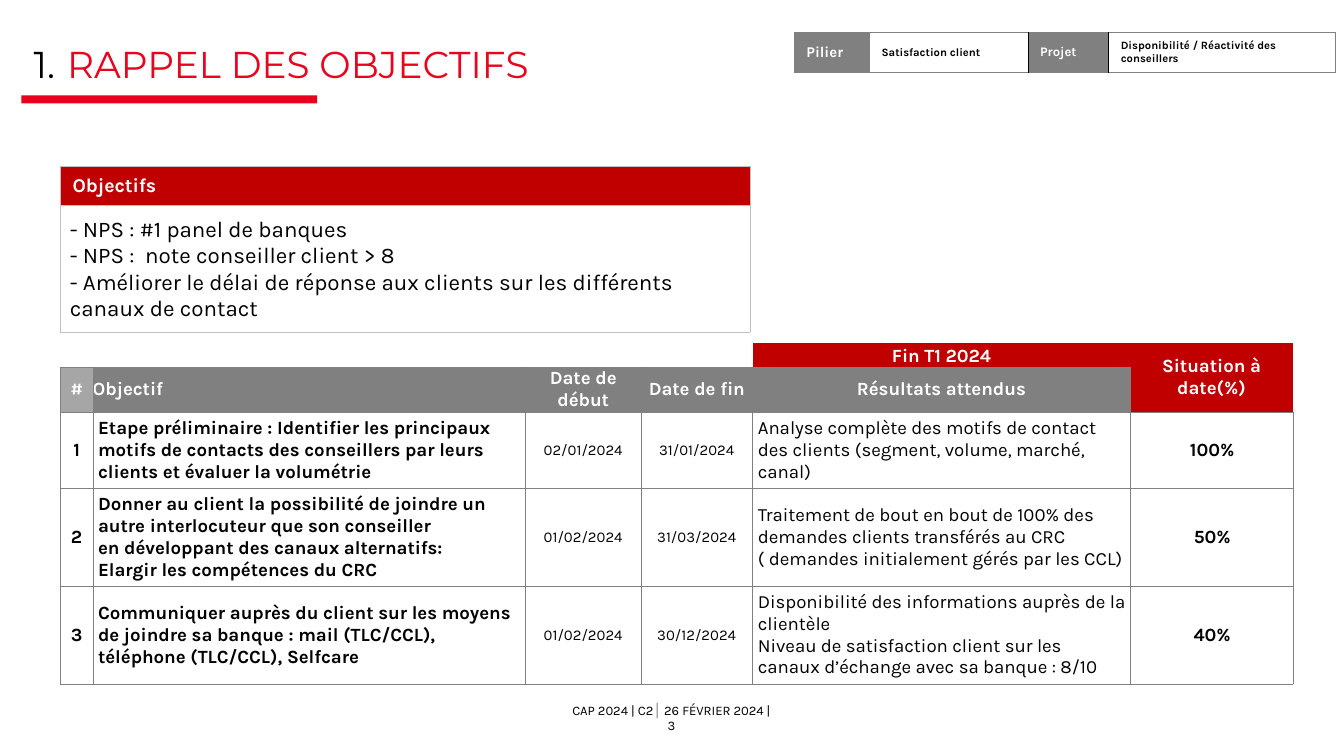
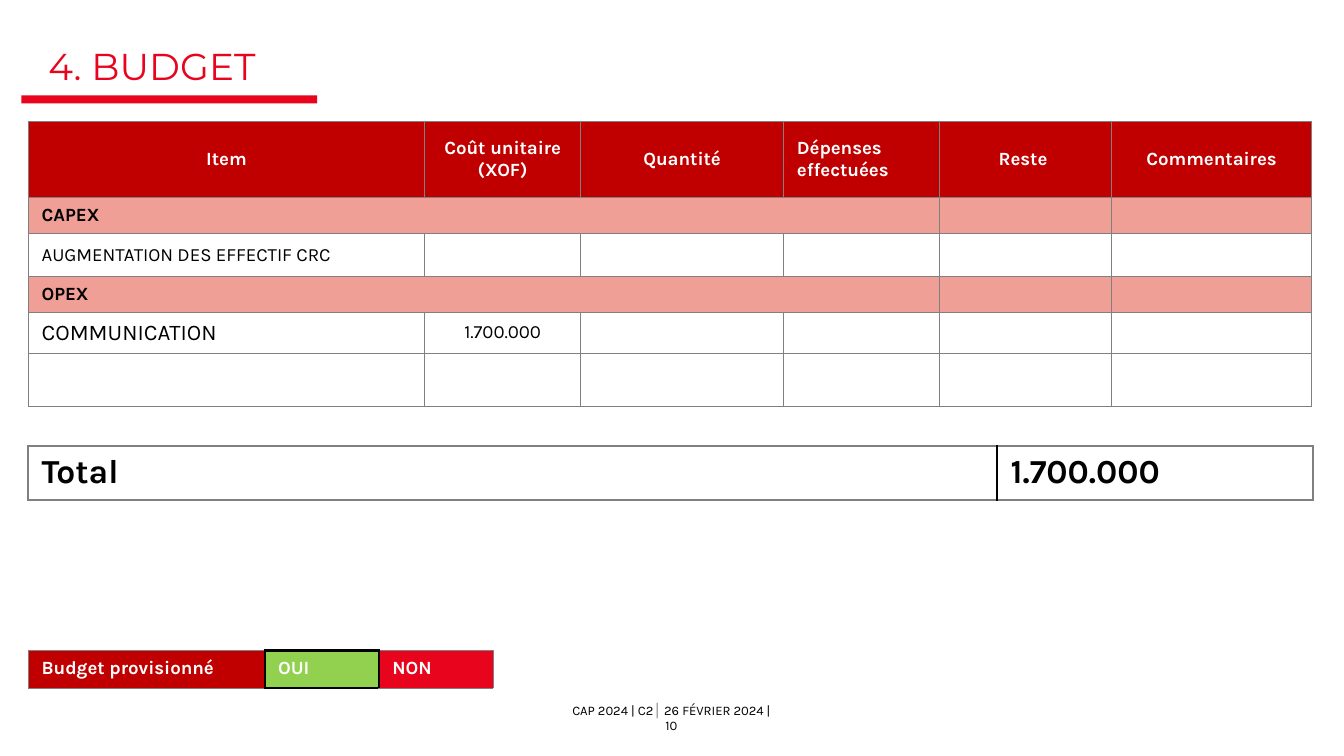
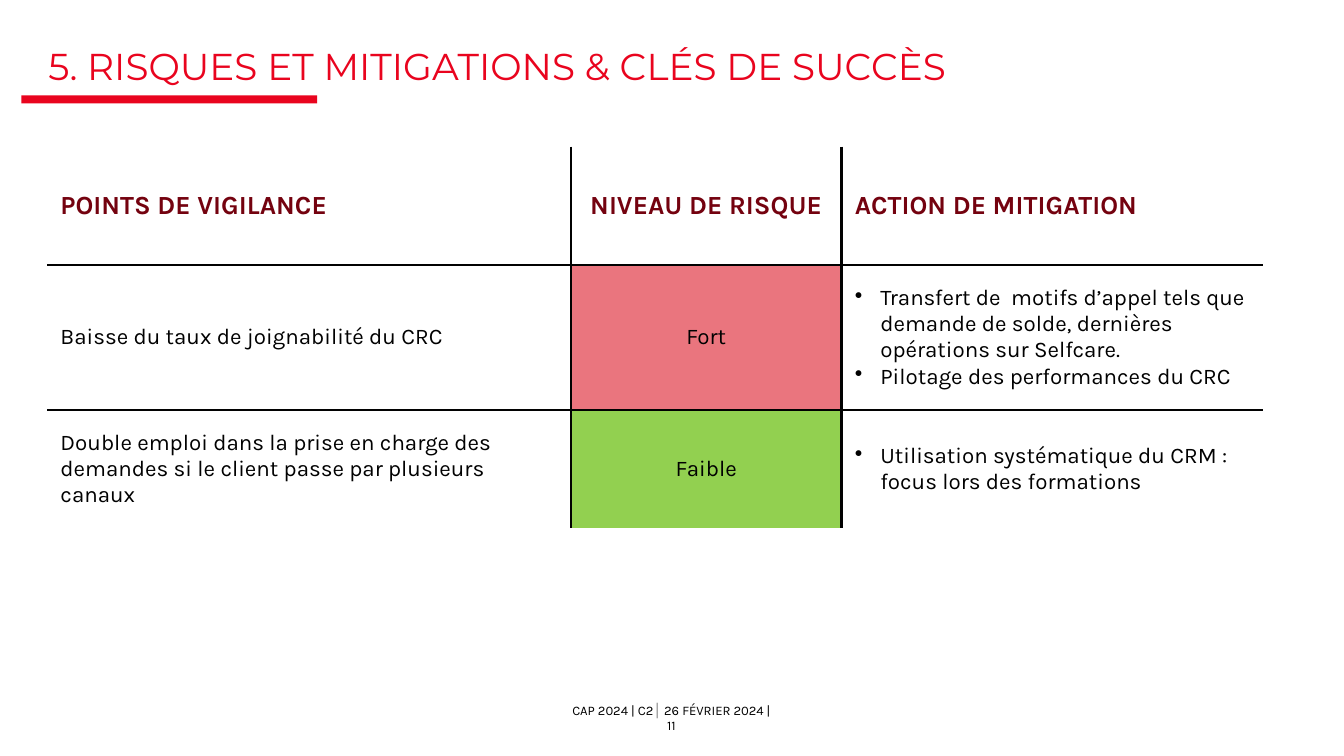
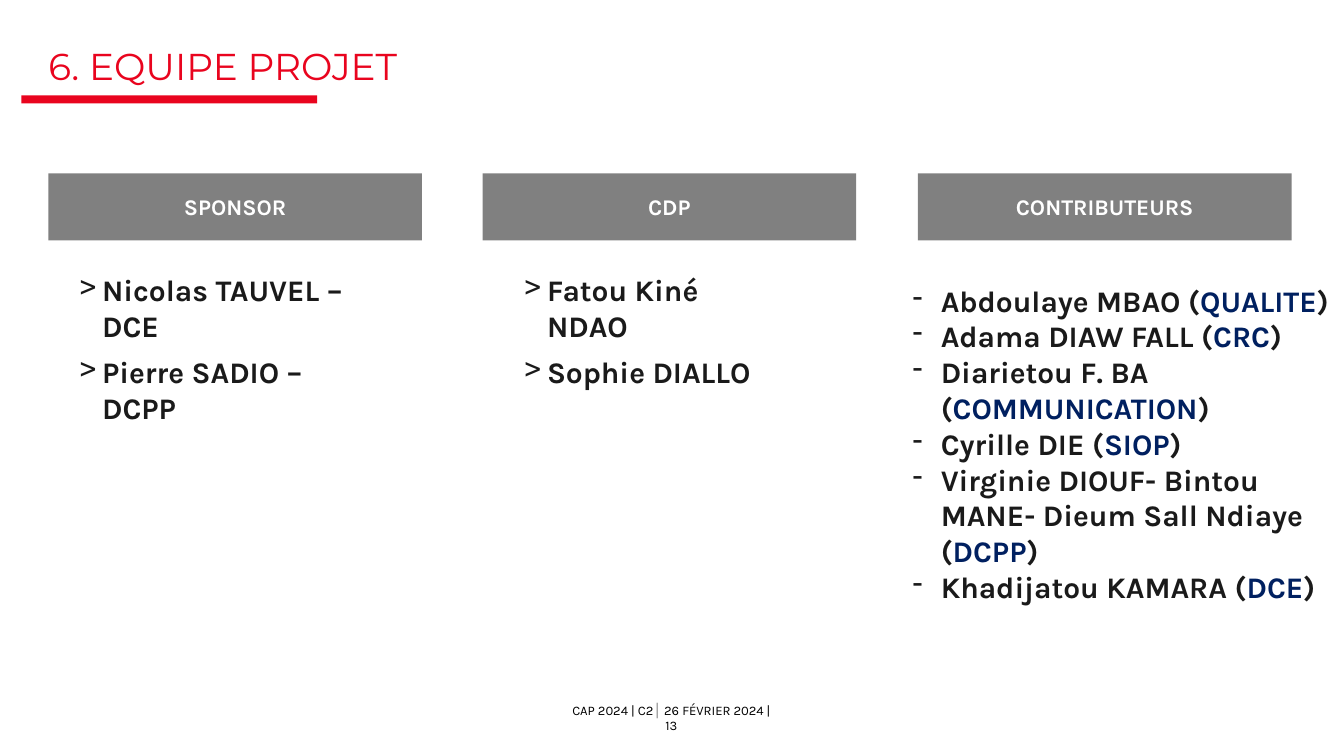
from dataclasses import dataclass

from lxml import etree
from pptx import Presentation
from pptx.dml.color import RGBColor
from pptx.enum.shapes import MSO_SHAPE
from pptx.enum.text import MSO_ANCHOR, PP_ALIGN
from pptx.oxml.ns import qn
from pptx.util import Inches, Pt

RECT = MSO_SHAPE.RECTANGLE
TOP, MID, BOTTOM = MSO_ANCHOR.TOP, MSO_ANCHOR.MIDDLE, MSO_ANCHOR.BOTTOM
LEFT, CENTER = PP_ALIGN.LEFT, PP_ALIGN.CENTER
PLAIN = "{2D5ABB26-0587-4C30-8999-92F81FD0307C}"  # table style without grid
TAGS = {"l": "a:lnL", "r": "a:lnR", "t": "a:lnT", "b": "a:lnB"}


@dataclass(frozen=True)
class Theme:
    body: str = "Karla"
    head: str = "Montserrat"
    red: str = "E9041E"
    deep: str = "C00000"
    wine: str = "74020F"
    rose: str = "EF9F96"
    coral: str = "EA757E"
    green: str = "92D050"
    grey: str = "808080"
    mist: str = "A6A6A6"
    silver: str = "C0C0C0"
    white: str = "FFFFFF"
    ink: str = "010101"
    coal: str = "1A1A1A"
    navy: str = "002060"
    foot: float = 7
    tiny: float = 6
    small: float = 8
    cell: float = 10
    bar: float = 10.5
    text: float = 12
    large: float = 14
    name: float = 16
    total: float = 18
    title: float = 20


T = Theme()


def look(size, color=T.ink, bold=False, font=T.body):
    return {"color": color, "font": {"size": Pt(size), "bold": bold, "name": font}}


def edge(sides, color=T.grey, width=0.25):
    return {side: (color, width) for side in sides}


def cell(text="", style=None, **opts):
    """One table cell; opts: align, anchor, pad, fill, edges, span, mark."""
    return {"text": text, "style": style or look(T.cell), **opts}


def tint(item, color):
    item.fill.solid()
    item.fill.fore_color.rgb = RGBColor.from_string(color)


def add_color(node, color):
    etree.SubElement(node, qn("a:srgbClr"), val=color)


def set_mark(par, sign, indent, color=None):
    """Hang a bullet or an automatic number before the paragraph."""
    props = par._p.get_or_add_pPr()
    props.set("marL", str(Inches(indent)))
    props.set("indent", str(-Inches(indent)))
    if color:
        add_color(etree.SubElement(props, qn("a:buClr")), color)
    if sign == "1.":
        etree.SubElement(props, qn("a:buAutoNum"), type="arabicPeriod")
    else:
        etree.SubElement(props, qn("a:buChar"), char=sign)


def write(frame, text, style, align=LEFT, mark=None, **spacing):
    """Fill a frame; text is a paragraph or a list, a paragraph a string or (text, colour) runs."""
    for i, runs in enumerate(text if isinstance(text, list) else [text]):
        par = frame.paragraphs[0] if i == 0 else frame.add_paragraph()
        par.alignment = align
        for name, value in spacing.items():
            setattr(par, name, value)
        if mark:
            set_mark(par, *mark)
        if runs == "":
            size = style["font"]["size"].pt
            etree.SubElement(par._p, qn("a:endParaRPr"), sz=str(int(size * 100)))
            continue
        for words, color in [(runs, None)] if isinstance(runs, str) else runs:
            run = par.add_run()
            run.text = words
            for name, value in style["font"].items():
                setattr(run.font, name, value)
            run.font.color.rgb = RGBColor.from_string(color or style["color"])


def draw_edges(box, edges):
    props = box._tc.get_or_add_tcPr()
    for side, tag in TAGS.items():
        if side in edges:
            color, width = edges[side]
            line = etree.SubElement(props, qn(tag), w=str(Pt(width)))
            add_color(etree.SubElement(line, qn("a:solidFill")), color)


class Deck:
    def __init__(self):
        self.prs = Presentation()
        self.prs.slide_width = Inches(10)
        self.prs.slide_height = Inches(10 * 9 / 16)
        self.slide = None

    def page(self, number, title, at=(0.36, 0.39, 6.1, 0.26), spacing=0.75, mark=None):
        """Start a slide with its footer, red rule and title."""
        self.slide = self.prs.slides.add_slide(self.prs.slide_layouts[6])
        foot = (("CAP 2024 | C2", T.ink), ("│ ", T.grey), (f"26 FÉVRIER 2024 | {number}", T.ink))
        self.text((4.24, 5.28, 1.51, 0.12), foot, look(T.foot), MID, align=CENTER)
        self.rect((0.16, 0.71, 2.2, 0.06), T.red)
        self.text(at, title, look(T.title, T.red, font=T.head), BOTTOM,
                  mark=mark, line_spacing=spacing)

    def text(self, at, text, style, anchor=TOP, **opts):
        box = self.slide.shapes.add_textbox(*map(Inches, at))
        self.fill_frame(box.text_frame, text, style, anchor, **opts)

    def rect(self, at, fill, text=None, style=None):
        box = self.slide.shapes.add_shape(RECT, *map(Inches, at))
        box.shadow.inherit = False
        box.line.fill.background()
        tint(box, fill)
        if text:
            self.fill_frame(box.text_frame, text, style, MID, align=CENTER)

    def fill_frame(self, frame, text, style, anchor, **opts):
        frame.word_wrap = True
        frame.vertical_anchor = anchor
        for side in ("left", "top", "right", "bottom"):
            setattr(frame, f"margin_{side}", 0)
        write(frame, text, style, **opts)

    def table(self, left, top, cols, rows, cells, edges, pad=(0.1, 0.05, 0.1, 0.05)):
        """Place a table; edges and pad hold for every cell without its own, None is merged."""
        size = map(Inches, (left, top, sum(cols), sum(rows)))
        grid = self.slide.shapes.add_table(len(rows), len(cols), *size).table
        grid.first_row = grid.horz_banding = False
        grid._tbl.tblPr.find(qn("a:tableStyleId")).text = PLAIN
        for col, width in zip(grid.columns, cols):
            col.width = Inches(width)
        for row, height in zip(grid.rows, rows):
            row.height = Inches(height)
        for r, line in enumerate(cells):
            for c, item in enumerate(line):
                if item:
                    self.fill_cell(grid, r, c, {"edges": edges, "pad": pad, **item})

    def fill_cell(self, grid, r, c, item):
        box = grid.cell(r, c)
        if "span" in item:
            high, wide = item["span"]
            box.merge(grid.cell(r + high - 1, c + wide - 1))
        draw_edges(box, item["edges"])
        if "fill" in item:
            tint(box, item["fill"])
        else:
            box.fill.background()
        box.vertical_anchor = item.get("anchor", MID)
        for side, gap in zip(("left", "top", "right", "bottom"), item["pad"]):
            setattr(box, f"margin_{side}", Inches(gap))
        write(box.text_frame, item["text"], item["style"],
              item.get("align", LEFT), item.get("mark"))


def goals(deck):
    deck.page(3, "RAPPEL DES OBJECTIFS", (0.25, 0.37, 4.03, 0.27), 0.8, ("1.", 0.25, T.ink))
    white, bold, date = look(T.cell, T.white, True), look(T.cell, bold=True), look(T.small)
    under = edge("b")
    head = {"style": white, "align": CENTER}
    inner = (0.04, 0.03, 0.03, 0.03)
    cells = [
        [cell(edges=under) for _ in range(4)] + [
            cell("Fin T1 2024", **head, anchor=BOTTOM, fill=T.deep, edges=under),
            cell("Situation à date(%)", **head, fill=T.deep, edges=under, span=(2, 1))],
        [cell("#", **head, fill=T.mist), cell("Objectif", white, fill=T.grey)]
        + [cell(name, **head, fill=T.grey)
           for name in ("Date de début", "Date de fin", "Résultats attendus")] + [None],
    ]
    plan = [
        ("Etape préliminaire : Identifier les principaux motifs de contacts des conseillers "
         "par leurs clients et évaluer la volumétrie", "02/01/2024", "31/01/2024",
         "Analyse complète des motifs de contact des clients (segment, volume, marché, canal)",
         "100%"),
        (["Donner au client la possibilité de joindre un autre interlocuteur que son conseiller",
          "en développant des canaux alternatifs:", "Elargir les compétences du CRC"],
         "01/02/2024", "31/03/2024",
         ["Traitement de bout en bout de 100% des demandes clients transférés au CRC",
          "( demandes initialement gérés par les CCL)"], "50%"),
        ("Communiquer auprès du client sur les moyens de joindre sa banque : mail (TLC/CCL), "
         "téléphone (TLC/CCL), Selfcare", "01/02/2024", "30/12/2024",
         ["Disponibilité des informations auprès de la clientèle",
          "Niveau de satisfaction client sur les canaux d’échange avec sa banque : 8/10"],
         "40%"),
    ]
    for i, (goal, start, end, result, done) in enumerate(plan, 1):
        cells.append([
            cell(str(i), bold, align=CENTER), cell(goal, bold, pad=inner),
            cell(start, date, align=CENTER), cell(end, date, align=CENTER),
            cell(result, pad=inner), cell(done, bold, align=CENTER, pad=inner)])
    deck.table(0.45, 2.55, (0.24, 3.22, 0.86, 0.83, 2.81, 1.21),
               (0.18, 0.33, 0.57, 0.41, 0.57), cells, edge("ltrb"), (0,) * 4)

    grey, dark = edge("ltb", width=0.5), edge("lr", T.ink, 0.5)
    tag, pad = look(T.tiny, bold=True), (0.09, 0.05, 0.09, 0.05)
    deck.table(5.91, 0.24, (0.56, 1.18, 0.6, 1.69), (0.18,), [[
        cell("Pilier", look(T.small, T.white, True), fill=T.grey),
        cell("Satisfaction client", tag,
             edges={**edge("tb", width=0.5), **edge("r", T.ink, 0.5)}),
        cell("Projet", look(T.foot, T.white, True), fill=T.grey, edges={**grey, **dark}),
        cell("Disponibilité / Réactivité des conseillers", tag,
             edges={**edge("trb", width=0.5), **edge("l", T.ink, 0.5)}),
    ]], grey, pad)

    aims = ["- NPS : #1 panel de banques", "- NPS :  note conseiller client > 8",
            "- Améliorer le délai de réponse aux clients sur les différents canaux de contact"]
    deck.table(0.45, 1.24, (5.13,), (0.29, 0.94), [
        [cell("Objectifs", look(T.bar, T.white, True), fill=T.deep)],
        [cell(aims, look(T.text), fill=T.white, pad=(0.07, 0.01, 0.01, 0))],
    ], edge("ltrb", T.silver), pad)


def budget(deck):
    deck.page(10, "4. BUDGET")
    white, bold = look(T.cell, T.white, True), look(T.cell, bold=True)
    names = ("Item", "Coût unitaire (XOF)", "Quantité", "Dépenses effectuées",
             "Reste ", "Commentaires")

    def band(name):
        return [cell(name, bold, anchor=TOP, fill=T.rose, span=(1, 4)), None, None, None,
                cell(fill=T.rose), cell(fill=T.rose)]

    def entry(name, size, cost=""):
        return [cell(name, look(size)), cell(cost, align=CENTER, edges=edge("lrb")),
                *(cell(edges=edge("lrb")) for _ in range(2)), cell(), cell()]

    deck.table(0.21, 0.9, (2.95, 1.16, 1.51, 1.16, 1.28, 1.49),
               (0.57, 0.26, 0.32, 0.26, 0.26, 0.26), [
        [cell(name, white, fill=T.deep, align=LEFT if name.startswith("Dép") else CENTER)
         for name in names],
        band("CAPEX"), entry("AUGMENTATION DES EFFECTIF CRC", T.cell),
        band("OPEX"), entry("COMMUNICATION", T.text, "1.700.000"),
        [cell(style=look(T.total)) for _ in names],
    ], edge("ltrb"))

    black = edge("ltrb", T.ink, 1.5)
    deck.table(0.21, 4.84, (1.76, 0.85, 0.85), (0.28,), [[
        cell("Budget provisionné", white, anchor=TOP, fill=T.deep),
        cell("OUI", white, anchor=TOP, fill=T.green, edges=black),
        cell("NON", white, anchor=TOP, fill=T.red,
             edges={**edge("trb"), **edge("l", T.ink, 1.5)}),
    ]], {**edge("ltb"), **edge("r", T.ink, 1.5)})

    big = look(T.total, bold=True)
    deck.table(0.21, 3.32, (7.21, 2.35), (0.31,), [[
        cell("Total", big, anchor=TOP),
        cell("1.700.000", big, anchor=TOP,
             edges={**edge("trb", width=1.5), **edge("l", T.ink, 1)}),
    ]], {**edge("ltb", width=1.5), **edge("r", T.ink, 1)})


def risks(deck):
    deck.page(11, "5. RISQUES ET MITIGATIONS & CLÉS DE SUCCÈS", (0.36, 0.39, 7.89, 0.26))
    head, body = look(T.large, T.wine, True), look(T.text)
    rows = [
        ("POINTS DE VIGILANCE", "NIVEAU DE RISQUE", "ACTION DE MITIGATION"),
        ("Baisse du taux de joignabilité du CRC", "Fort",
         ["Transfert de  motifs d’appel tels que demande de solde, dernières opérations "
          "sur Selfcare.", "Pilotage des performances du CRC"]),
        ("Double emploi dans la prise en charge des demandes si le client passe par "
         "plusieurs canaux", "Faible",
         ["Utilisation systématique du CRM : focus lors des formations"]),
    ]
    level = {"Fort": T.coral, "Faible": T.green}
    cells = []
    for r, line in enumerate(rows):
        sides = ("b", "tb", "t")[r]
        row = []
        for c, text in enumerate(line):
            item = cell(text, body if r else head, align=CENTER if c == 1 else LEFT,
                        edges=edge(sides + ("r", "lr", "l")[c], T.ink, 1.5))
            if r:
                item["fill"] = level[text] if c == 1 else T.white
                item["mark"] = ("•", 0.19) if c == 2 else None
            row.append(item)
        cells.append(row)
    deck.table(0.35, 1.09, (3.9, 2.01, 3.14), (0.88, 1.08, 0.88), cells, {})


def team(deck):
    deck.page(13, "6. EQUIPE PROJET")
    for left, role in zip((0.36, 3.59, 6.83), ("SPONSOR", "CDP", "CONTRIBUTEURS")):
        deck.rect((left, 1.29, 2.78, 0.5), T.grey, role, look(T.text, T.white, True))
    style = look(T.name, T.coal, True)
    for at, names in (
        ((0.59, 2.02, 2.3, 0.63), ["Nicolas TAUVEL – DCE", "Pierre SADIO –  DCPP"]),
        ((3.9, 2.02, 1.92, 0.57), ["Fatou Kiné NDAO", "Sophie DIALLO"]),
    ):
        deck.text(at, names, style, mark=(">", 0.17), space_before=Pt(5.5))
    staff = (
        ("Abdoulaye MBAO ", "QUALITE"), ("Adama DIAW FALL ", "CRC"),
        ("Diarietou F. BA  ", "COMMUNICATION"), ("Cyrille DIE ", "SIOP"),
        ("Virginie DIOUF- Bintou MANE- Dieum Sall Ndiaye ", "DCPP"),
        ("Khadijatou KAMARA ", "DCE"),
    )
    lines = [((name + "(", T.coal), (unit, T.navy), (")", T.coal)) for name, unit in staff]
    deck.text((6.79, 2.1, 3.12, 1.43), lines, style, mark=("-", 0.21))


def main():
    deck = Deck()
    for build in (goals, budget, risks, team):
        build(deck)
    deck.prs.save("out.pptx")


if __name__ == "__main__":
    main()
